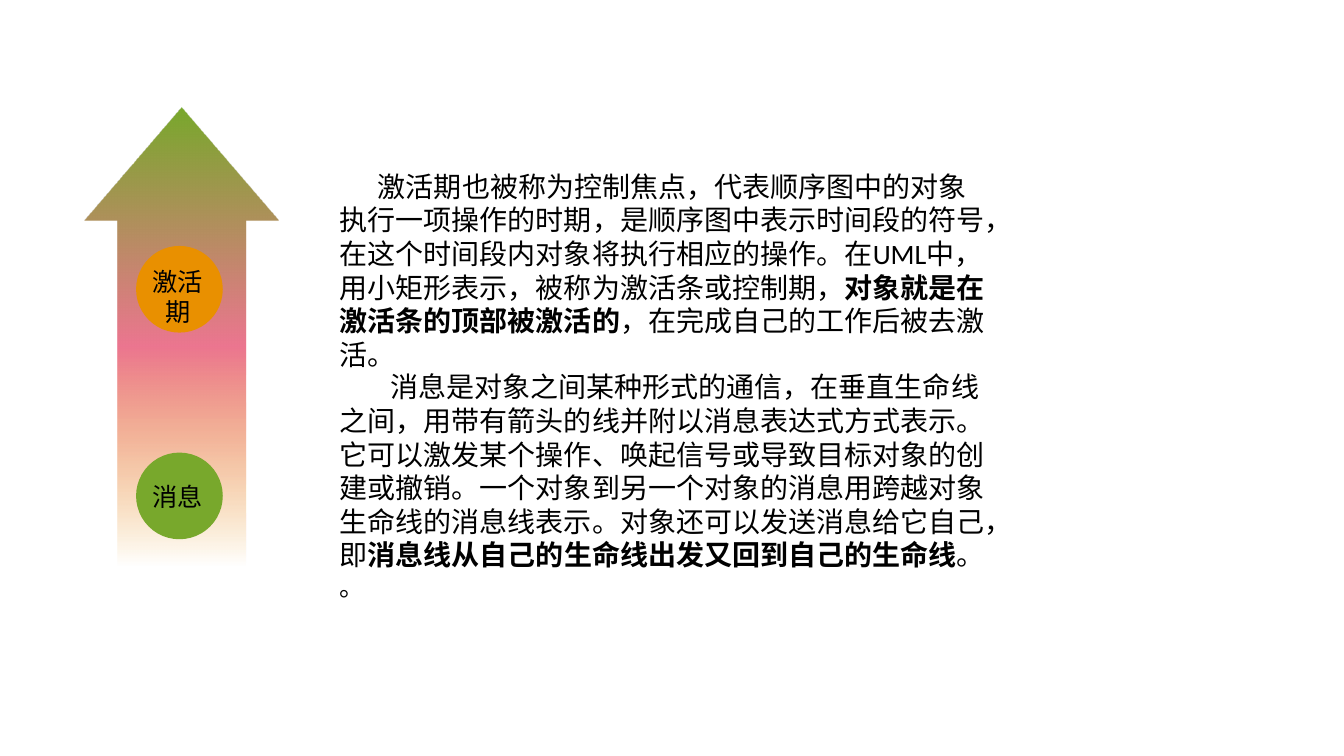
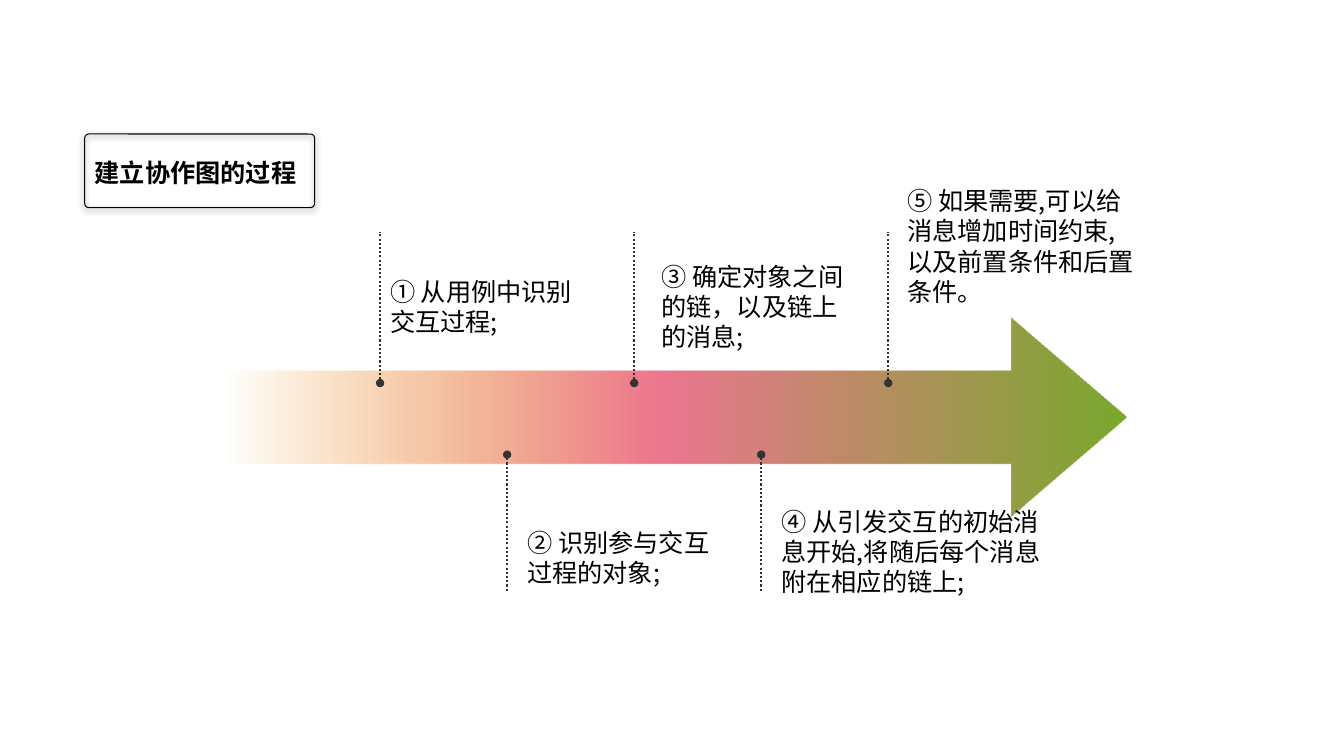
from dataclasses import dataclass

from pptx import Presentation
from pptx.dml.color import RGBColor
from pptx.enum.dml import MSO_LINE
from pptx.enum.shapes import MSO_CONNECTOR, MSO_SHAPE as SHAPE
from pptx.enum.text import PP_ALIGN
from pptx.oxml import parse_xml
from pptx.oxml.ns import nsdecls, qn
from pptx.util import Inches, Pt

GREEN = RGBColor(0x78, 0xA8, 0x2C)
PINK = RGBColor(0xEC, 0x76, 0x90)
ORANGE = RGBColor(0xE9, 0x90, 0x00)
BLACK = RGBColor(0, 0, 0)
DARK = RGBColor(0x33, 0x33, 0x33)

LATIN_FONT = "Calibri"
CJK_FONT = "Noto Sans CJK SC"

GRADIENT_STOPS = [(0, GREEN, 100), (52, PINK, 100), (100, ORANGE, 0)]

ARROW_TOP, ARROW_BOTTOM = 3.8, 4.51
LEADER_TOP, LEADER_BOTTOM = 2.3, 5.88
FIRST_LEADER, LEADER_GAP = 3.77, 1.26


@dataclass
class Box:
    left: float
    top: float
    width: float
    height: float

    def lengths(self) -> tuple:
        return tuple(map(Inches, (self.left, self.top, self.width, self.height)))


@dataclass
class Run:
    text: str
    bold: bool = False
    size: int = 20


@dataclass
class Para:
    runs: list[Run]
    indent: float = 0


@dataclass
class Topic:
    label: str
    color: RGBColor
    circle_top: float
    label_box: Box
    body_box: Box
    body: list[Para]


@dataclass
class Step:
    text: str
    box: Box


TOPICS = [
    Topic("激活期", ORANGE, 2.44, Box(1.4, 2.59, 0.73, 0.71), Box(3.27, 1.63, 6.67, 2.12), [
        Para([
            Run("激活期也被称为控制焦点，代表顺序图中的对象执行一项操作的时期，"
                "是顺序图中表示时间段的符号，在这个时间段内对象将执行相应的操作。"
                "在UML中，用小矩形表示，被称为激活条或控制期，"),
            Run("对象就是在激活条的顶部被激活的", bold=True),
            Run("，在完成自己的工作后被去激活。"),
        ], indent=0.38),
    ]),
    Topic("消息", GREEN, 4.49, Box(1.4, 4.73, 0.73, 0.4), Box(3.27, 3.62, 6.67, 2.42), [
        Para([
            Run("消息是对象之间某种形式的通信，在垂直生命线之间，"
                "用带有箭头的线并附以消息表达式方式表示。"
                "它可以激发某个操作、唤起信号或导致目标对象的创建或撤销。"
                "一个对象到另一个对象的消息用跨越对象生命线的消息线表示。"
                "对象还可以发送消息给它自己，即"),
            Run("消息线从自己的生命线出发又回到自己的生命线", bold=True),
            Run("。"),
        ], indent=0.5),
        Para([Run("。", size=18)]),
    ]),
]

STEPS = [
    Step("① 从用例中识别交互过程;", Box(3.77, 2.69, 2.18, 0.71)),
    Step("② 识别参与交互过程的对象;", Box(5.13, 5.18, 2.18, 0.71)),
    Step("③ 确定对象之间的链，以及链上的消息;", Box(6.46, 2.54, 2.18, 1.01)),
    Step("④ 从引发交互的初始消息开始,将随后每个消息附在相应的链上;",
         Box(7.65, 4.97, 2.93, 1.01)),
    Step("⑤ 如果需要,可以给消息增加时间约束,以及前置条件和后置条件。",
         Box(8.9, 1.79, 2.47, 1.31)),
]


def add_text(slide, box: Box, paras: list[Para], font: str, align=None) -> None:
    tf = slide.shapes.add_textbox(*box.lengths()).text_frame
    tf.word_wrap = True
    for i, para in enumerate(paras):
        p = tf.paragraphs[0] if i == 0 else tf.add_paragraph()
        p.alignment = align
        if para.indent:
            p._p.get_or_add_pPr().set("indent", str(Inches(para.indent)))
        for run in para.runs:
            r = p.add_run()
            r.text = run.text
            r.font.name = font
            r.font.size = Pt(run.size)
            r.font.bold = run.bold
            r.font.color.rgb = BLACK


def add_plain_shape(slide, kind, box: Box):
    """Add a shape without line or shadow; its fill is left to the caller."""
    s = slide.shapes.add_shape(kind, *box.lengths())
    s.line.fill.background()
    s.shadow.inherit = False
    return s


def add_gradient_arrow(slide, kind, box: Box, shaft: float, head: float, angle: int) -> None:
    s = add_plain_shape(slide, kind, box)
    s.adjustments[0], s.adjustments[1] = shaft, head
    stops = "".join(
        f'<a:gs pos="{pos * 1000}"><a:srgbClr val="{color}">'
        f'<a:alpha val="{alpha * 1000}"/></a:srgbClr></a:gs>'
        for pos, color, alpha in GRADIENT_STOPS)
    geometry = s.element.spPr.find(qn("a:prstGeom"))
    geometry.addnext(parse_xml(
        f'<a:gradFill {nsdecls("a")} rotWithShape="1"><a:gsLst>{stops}</a:gsLst>'
        f'<a:lin ang="{angle * 60000}" scaled="0"/></a:gradFill>'))


def add_leader(slide, x: float, start: float, end: float) -> None:
    """Add a dotted vertical line with a dot at its start."""
    c = slide.shapes.add_connector(
        MSO_CONNECTOR.STRAIGHT, *map(Inches, (x, start, x, end)))
    c.line.color.rgb = DARK
    c.line.width = Pt(1.5)
    c.line.dash_style = MSO_LINE.ROUND_DOT
    c.line._get_or_add_ln().append(
        parse_xml(f'<a:headEnd {nsdecls("a")} type="oval"/>'))
    c.element.spPr.append(parse_xml(f'<a:effectLst {nsdecls("a")}/>'))


def add_heading(slide, text: str) -> None:
    s = slide.shapes.add_shape(SHAPE.ROUNDED_RECTANGLE, *Box(0.84, 1.33, 2.28, 0.73).lengths())
    s.adjustments[0] = 0.055
    s.fill.background()
    s.line.color.rgb = BLACK
    s.line.width = Pt(0.75)
    s.element.spPr.append(parse_xml(
        f'<a:effectLst {nsdecls("a")}><a:outerShdw blurRad="{Pt(4.5)}" dist="{Pt(1.5)}" '
        f'dir="5400000" rotWithShape="0"><a:srgbClr val="{BLACK}"><a:alpha val="63000"/>'
        '</a:srgbClr></a:outerShdw></a:effectLst>'))
    add_text(slide, Box(0.84, 1.51, 2.72, 0.4), [Para([Run(text, True, 18)])], CJK_FONT)


def build_topics(slide) -> None:
    add_gradient_arrow(slide, SHAPE.UP_ARROW, Box(0.84, 1.07, 1.92, 4.54), 0.663, 0.584, 90)
    for topic in TOPICS:
        s = add_plain_shape(slide, SHAPE.OVAL, Box(1.35, topic.circle_top, 0.86, 0.86))
        s.fill.solid()
        s.fill.fore_color.rgb = topic.color
        add_text(slide, topic.label_box, [Para([Run(topic.label, size=18)])],
                 LATIN_FONT, PP_ALIGN.CENTER)
        add_text(slide, topic.body_box, topic.body, LATIN_FONT)


def build_steps(slide) -> None:
    add_gradient_arrow(slide, SHAPE.RIGHT_ARROW, Box(2.26, 3.15, 8.91, 1.97), 0.468, 0.583, 180)
    add_heading(slide, "建立协作图的过程")
    for i, step in enumerate(STEPS):
        above = i % 2 == 0
        start, end = (ARROW_TOP, LEADER_TOP) if above else (ARROW_BOTTOM, LEADER_BOTTOM)
        add_leader(slide, FIRST_LEADER + i * LEADER_GAP, start, end)
        add_text(slide, step.box, [Para([Run(step.text, size=18)])], CJK_FONT)


def main() -> None:
    prs = Presentation()
    prs.slide_width, prs.slide_height = Inches(13.33), Inches(7.5)
    blank = prs.slide_layouts[6]
    for build in (build_topics, build_steps):
        build(prs.slides.add_slide(blank))
    prs.save("out.pptx")


if __name__ == "__main__":
    main()
